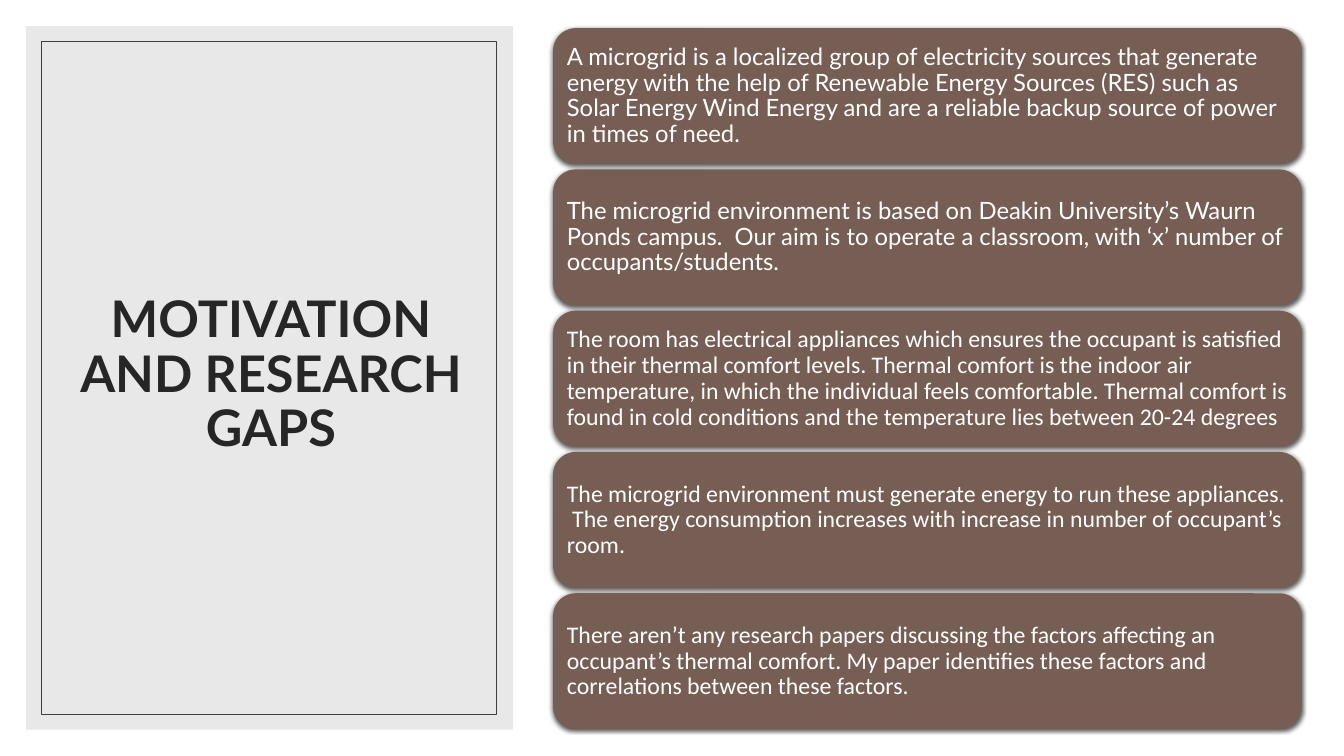
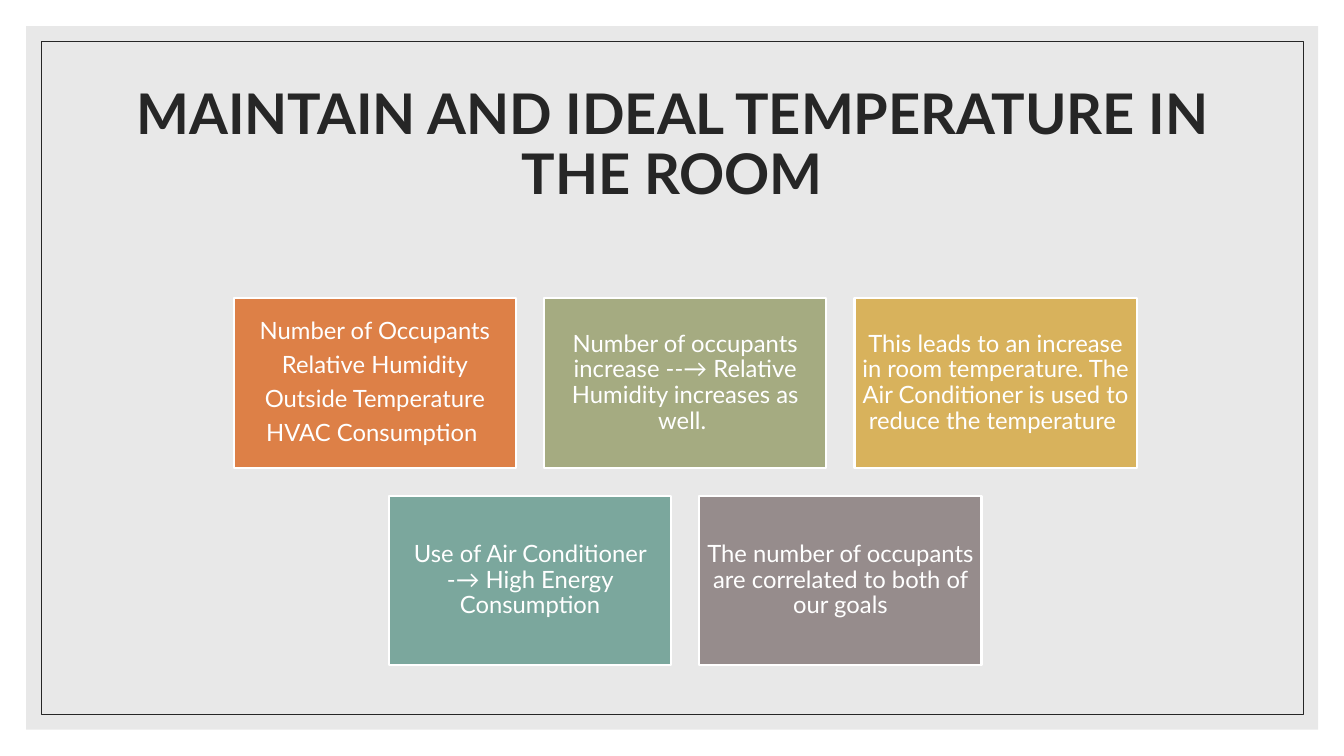
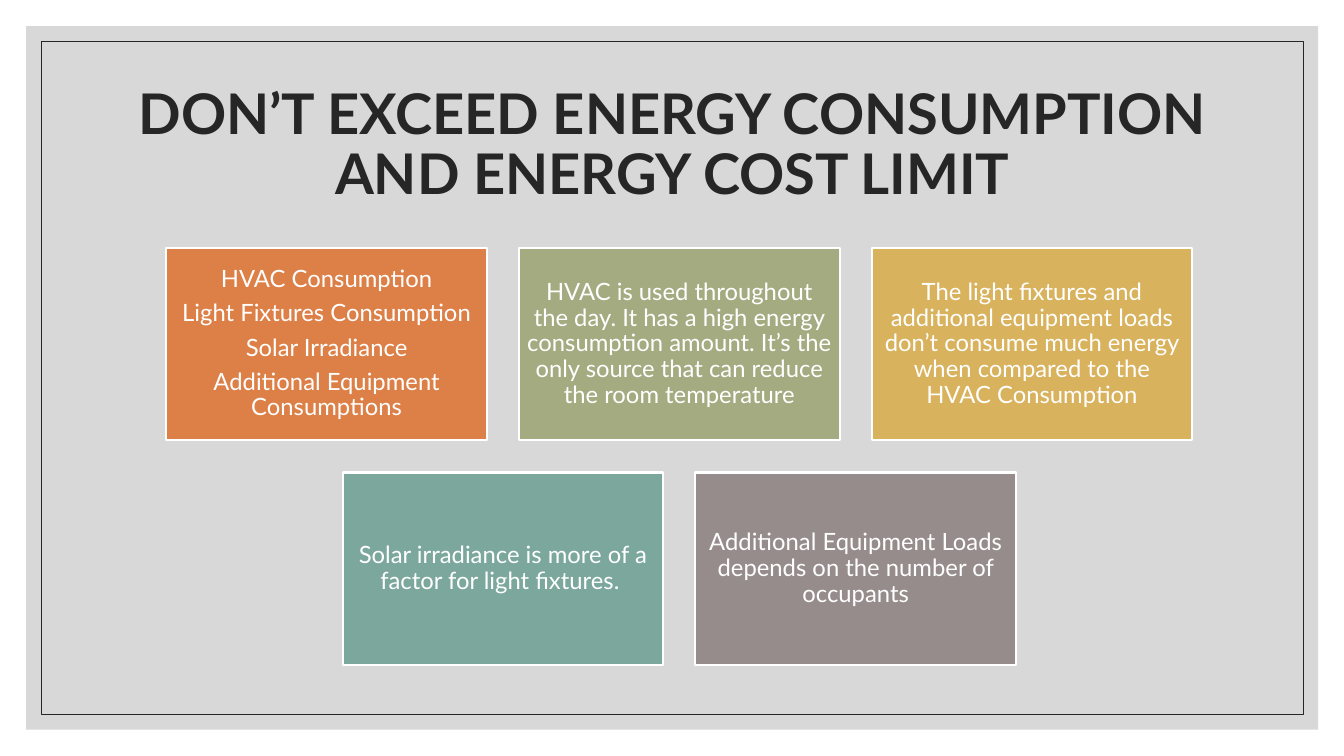
"""Build three slides on microgrid thermal comfort: motivation and two goals."""
from dataclasses import dataclass

from lxml import etree
from pptx import Presentation
from pptx.dml.color import RGBColor
from pptx.enum.shapes import MSO_SHAPE
from pptx.enum.text import MSO_ANCHOR, PP_ALIGN
from pptx.oxml.ns import qn
from pptx.util import Cm, Pt

RECT = MSO_SHAPE.RECTANGLE
ROUNDED = MSO_SHAPE.ROUNDED_RECTANGLE
MIDDLE = MSO_ANCHOR.MIDDLE
LEFT, CENTER = PP_ALIGN.LEFT, PP_ALIGN.CENTER


@dataclass(frozen=True)
class Theme:
    heading: str = "Lato"
    alternate: str = "Calibri"
    ink: str = "262626"
    soft_ink: str = "404040"
    white: str = "FFFFFF"
    pale: str = "E8E8E8"
    grey: str = "D8D8D8"
    brown: str = "775E54"
    cards: tuple = ("DD8047", "A5AB81", "D8B25C", "7BA79D", "968C8C")
    side_title: int = 36
    top_title: int = 40
    body: int = 17
    spacing: float = 0.9


THEME = Theme()

MOTIVATION_TITLE = "MOTIVATION AND RESEARCH GAPS"
MOTIVATION = [
    (THEME.heading, "A microgrid is a localized group of electricity sources that generate "
     "energy with the help of Renewable Energy Sources (RES) such as Solar Energy Wind Energy "
     "and are a reliable backup source of power in times of need."),
    (THEME.heading, "The microgrid environment is based on Deakin University’s Waurn Ponds "
     "campus.  Our aim is to operate a classroom, with ‘x’ number of occupants/students."),
    (THEME.alternate, "The room has electrical appliances which ensures the occupant is "
     "satisfied in their thermal comfort levels. Thermal comfort is the indoor air temperature, "
     "in which the individual feels comfortable. Thermal comfort is found in cold conditions "
     "and the temperature lies between 20-24 degrees"),
    (THEME.alternate, "The microgrid environment must generate energy to run these appliances. "
     " The energy consumption increases with increase in number of occupant’s room."),
    (THEME.alternate, "There aren’t any research papers discussing the factors affecting an "
     "occupant’s thermal comfort. My paper identifies these factors and correlations between "
     "these factors."),
]

GOALS = [
    {
        "title": "MAINTAIN AND IDEAL TEMPERATURE IN THE ROOM",
        "panel": THEME.pale, "center": 17.27, "top": 7.52, "card_width": 7.11,
        "cards": [
            ["Number of Occupants", "Relative Humidity", "Outside Temperature",
             "HVAC Consumption "],
            ["Number of occupants increase --→ Relative Humidity increases as well. "],
            ["This leads to an increase in room temperature. The Air Conditioner is used to "
             "reduce the temperature "],
            ["Use of Air Conditioner -→ High Energy Consumption"],
            ["The number of occupants are correlated to both of our goals"],
        ],
    },
    {
        "title": "DON’T EXCEED ENERGY CONSUMPTION AND ENERGY COST LIMIT",
        "panel": THEME.grey, "center": 17.12, "top": 6.25, "card_width": 8.08,
        "cards": [
            ["HVAC Consumption", "Light Fixtures Consumption", "Solar Irradiance",
             "Additional Equipment Consumptions"],
            ["HVAC is used throughout the day. It has a high energy consumption amount. "
             "It’s the only source that can reduce the room temperature"],
            ["The light fixtures and additional equipment loads don’t consume much energy "
             "when compared to the HVAC Consumption"],
            ["Solar irradiance is more of a factor for light fixtures. "],
            ["Additional Equipment Loads depends on the number of occupants"],
        ],
    },
]


def add_box(s, kind, box, fill=None, line=None, weight=0.5):
    sp = s.shapes.add_shape(kind, *map(Cm, box))
    sp.shadow.inherit = False
    if fill:
        sp.fill.solid()
        sp.fill.fore_color.rgb = RGBColor.from_string(fill)
    else:
        sp.fill.background()
    if line:
        sp.line.color.rgb = RGBColor.from_string(line)
        sp.line.width = Pt(weight)
    else:
        sp.line.fill.background()
    return sp


def set_text(sp, texts, size, color, font=THEME.heading, align=CENTER, bold=False,
             inset=0.18, after=6):
    tf = sp.text_frame
    tf.word_wrap = True
    tf.vertical_anchor = MIDDLE
    tf.margin_left = tf.margin_right = tf.margin_top = tf.margin_bottom = Cm(inset)
    for i, text in enumerate(texts):
        p = tf.paragraphs[0] if i == 0 else tf.add_paragraph()
        p.text = text
        p.alignment = align
        p.line_spacing = THEME.spacing
        p.space_after = Pt(after)
        p.font.name = font
        p.font.size = Pt(size)
        p.font.bold = bold
        p.font.color.rgb = RGBColor.from_string(color)


def add_shadow(sp):
    effects = sp._element.spPr.find(qn("a:effectLst"))
    shadow = etree.SubElement(effects, qn("a:outerShdw"), blurRad=str(Pt(3)), dist=str(Pt(1)),
                              dir="5400000", algn="ctr", rotWithShape="0")
    color = etree.SubElement(shadow, qn("a:srgbClr"), val="000000")
    etree.SubElement(color, qn("a:alpha"), val="63000")


def add_titled_slide(prs, title, title_box, size, panel, panel_width, frame_width, frame_line):
    s = prs.slides.add_slide(prs.slide_layouts[6])
    add_box(s, RECT, (0.66, 0.66, panel_width, 17.73), fill=panel)
    add_box(s, RECT, (1.04, 1.04, frame_width, 16.97), line=frame_line)
    sp = s.shapes.add_textbox(*map(Cm, title_box))
    set_text(sp, [title], size, THEME.ink, bold=True, inset=0.2, after=0)
    return s


def add_motivation(prs):
    s = add_titled_slide(prs, MOTIVATION_TITLE, (1.6, 1.55, 10.46, 15.85), THEME.side_title,
                         THEME.pale, 12.27, 11.46, THEME.soft_ink)
    for i, (font, text) in enumerate(MOTIVATION):
        sp = add_box(s, ROUNDED, (13.94, 0.71 + i * 3.56, 19.03 - 0.16, 3.43), fill=THEME.brown)
        add_shadow(sp)
        set_text(sp, [text], THEME.body, THEME.white, font=font, align=LEFT)


def add_goal(prs, goal):
    s = add_titled_slide(prs, goal["title"], (2.97, 1.78, 27.94, 3.81), THEME.top_title,
                         goal["panel"], 32.56, 31.8, THEME.ink)
    width = goal["card_width"]
    height, gap = width * 0.6, width * 0.1
    cards = list(zip(goal["cards"], THEME.cards))
    for row, row_cards in enumerate((cards[:3], cards[3:])):
        row_width = len(row_cards) * (width + gap) - gap
        left = goal["center"] - row_width / 2
        top = goal["top"] + row * (height + gap)
        for col, (texts, color) in enumerate(row_cards):
            box = (left + col * (width + gap), top, width, height)
            sp = add_box(s, RECT, box, fill=color, line=THEME.white, weight=1.5)
            set_text(sp, texts, THEME.body, THEME.white)


def main():
    prs = Presentation()
    prs.slide_width, prs.slide_height = Cm(33.87), Cm(19.05)
    add_motivation(prs)
    for goal in GOALS:
        add_goal(prs, goal)
    prs.save("out.pptx")


if __name__ == "__main__":
    main()
